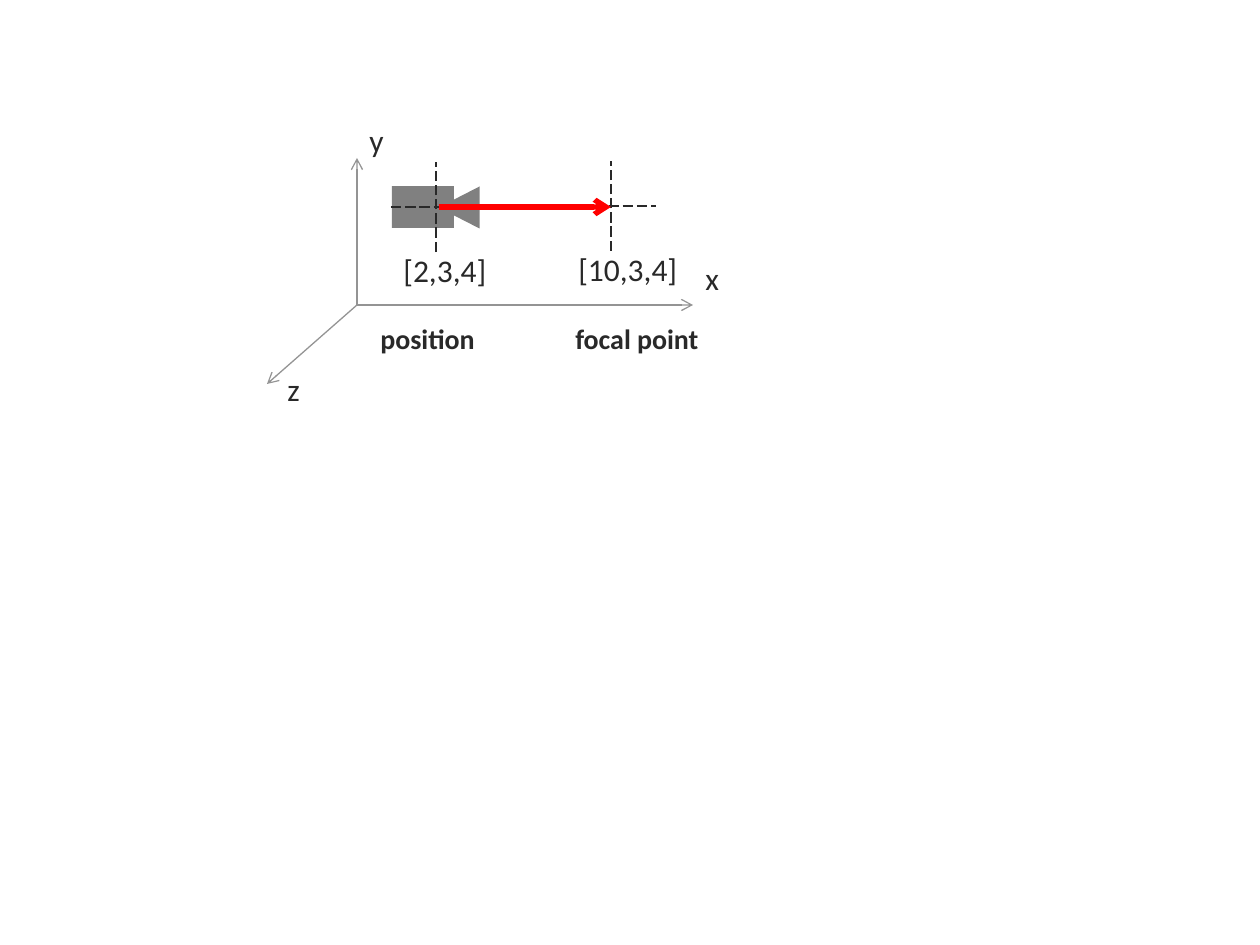
from lxml import etree
from pptx import Presentation
from pptx.dml.color import RGBColor
from pptx.enum.dml import MSO_LINE
from pptx.enum.shapes import MSO_CONNECTOR, MSO_SHAPE
from pptx.enum.text import MSO_AUTO_SIZE
from pptx.oxml.ns import qn
from pptx.util import Pt

SCALE = 914400 / 126
STRAIGHT = MSO_CONNECTOR.STRAIGHT
LONG_DASH = MSO_LINE.LONG_DASH
RECTANGLE = MSO_SHAPE.RECTANGLE
TRIANGLE = MSO_SHAPE.ISOSCELES_TRIANGLE
FIT_SHAPE = MSO_AUTO_SIZE.SHAPE_TO_FIT_TEXT

AXIS_GRAY = RGBColor(0x94, 0x94, 0x94)
CAMERA_GRAY = RGBColor(0x80, 0x80, 0x80)
INK = RGBColor(0x29, 0x29, 0x29)
RED = RGBColor(0xFF, 0x00, 0x00)
FONT = "Calibri"
CROSS_ARM = 45


def px(value):
    return round(value * SCALE)


def add_line(shapes, start, end, color, weight=0.75):
    line = shapes.add_connector(STRAIGHT, *map(px, start + end))
    line.line.color.rgb = color
    line.line.width = Pt(weight)
    etree.SubElement(line._element.spPr, qn("a:effectLst"))
    return line


def add_arrow(shapes, start, end, color, weight=0.75):
    arrow = add_line(shapes, start, end, color, weight)
    etree.SubElement(arrow.line._get_or_add_ln(), qn("a:tailEnd"), type="arrow")


def add_cross(shapes, x, y):
    for start, end in (
        ((x - CROSS_ARM, y), (x + CROSS_ARM, y)),
        ((x, y + CROSS_ARM), (x, y - CROSS_ARM)),
    ):
        add_line(shapes, start, end, INK).line.dash_style = LONG_DASH


def add_camera_part(shapes, kind, left, top, width, height, rotation=0):
    part = shapes.add_shape(kind, *map(px, (left, top, width, height)))
    part.shadow.inherit = False
    part.rotation = rotation
    part.fill.solid()
    part.fill.fore_color.rgb = CAMERA_GRAY
    part.line.fill.background()


def add_label(shapes, text, left, top, width, height=50, size=18, bold=False):
    box = shapes.add_textbox(*map(px, (left, top, width, height)))
    frame = box.text_frame
    frame.word_wrap = False
    frame.auto_size = FIT_SHAPE
    span = frame.paragraphs[0].add_run()
    span.text = text
    span.font.name = FONT
    span.font.size = Pt(size)
    span.font.bold = bold
    span.font.color.rgb = INK


def main():
    deck = Presentation()
    deck.slide_width, deck.slide_height = px(1260), px(945)
    page = deck.slides.add_slide(deck.slide_layouts[6])
    diagram = page.shapes.add_group_shape().shapes

    origin = (357, 305)
    for axis_end in ((357, 158), (693, 305), (267, 384)):
        add_arrow(diagram, origin, axis_end, AXIS_GRAY)

    add_camera_part(diagram, RECTANGLE, 392, 186, 62, 42)
    add_camera_part(diagram, TRIANGLE, 438, 187, 42, 41, rotation=270)
    add_cross(diagram, 436, 207)
    add_cross(diagram, 611, 206)

    add_label(diagram, "[2,3,4]", 391, 245, 110)
    add_label(diagram, "[10,3,4]", 566, 244, 125)
    add_arrow(diagram, (439, 207), (611, 207), RED, 3)

    for name, left, top, width in (
        ("y", 357, 115, 40),
        ("x", 693, 253, 40),
        ("z", 275, 364, 38),
    ):
        add_label(diagram, name, left, top, width)
    for name, left, width in (("position", 368, 121), ("focal point", 563, 150)):
        add_label(diagram, name, left, 315, width, height=47, size=16, bold=True)

    deck.save("out.pptx")


if __name__ == "__main__":
    main()
